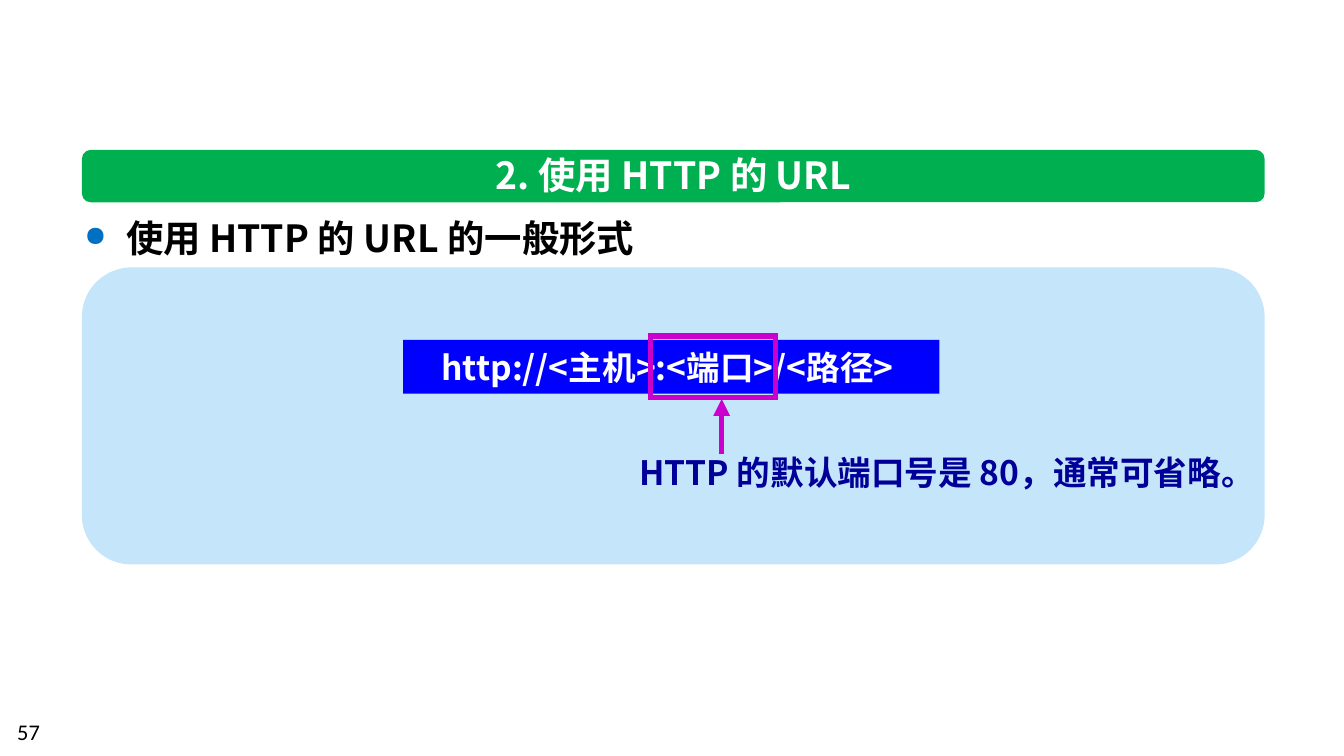
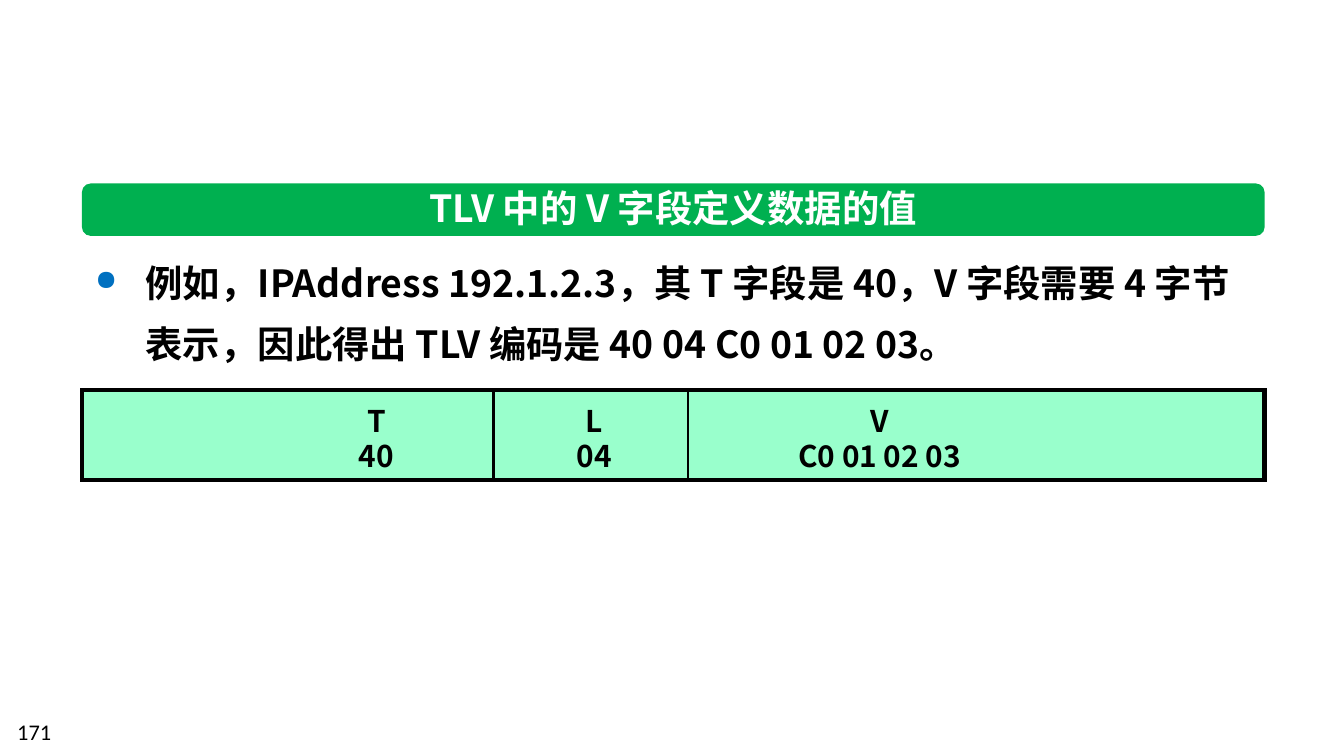
from lxml.etree import SubElement
from pptx import Presentation
from pptx.dml.color import RGBColor
from pptx.enum.shapes import MSO_CONNECTOR, MSO_SHAPE
from pptx.enum.text import MSO_ANCHOR, MSO_AUTO_SIZE, PP_ALIGN
from pptx.oxml.ns import qn
from pptx.util import Pt

PX = 4572  # 200 px to the inch
COLORS = {
    "white": "FFFFFF", "black": "000000", "band": "00B050", "bullet": "0070C0",
    "panel": "C5E5FB", "url": "0000FF", "port": "CC00CC", "note": "000099",
    "field": "99FFCC",
}
FONT = "Noto Sans CJK SC"
LEFT, WIDTH = 122, 1760


def draw(page, kind, at, fill=None, line=None, weight=1, adjust=None):
    """Add a text box, preset shape or straight line; a line takes its two ends in at."""
    place = [value * PX for value in at]
    if kind == "text":
        return page.shapes.add_textbox(*place)
    if kind == "line":
        item = page.shapes.add_connector(MSO_CONNECTOR.STRAIGHT, *place)
        SubElement(item._element.spPr, qn("a:effectLst"))
    else:
        item = page.shapes.add_shape(kind, *place)
        item.shadow.inherit = False
        if adjust is not None:
            item.adjustments[0] = adjust
        if fill:
            item.fill.solid()
            item.fill.fore_color.rgb = RGBColor.from_string(COLORS[fill])
        else:
            item.fill.background()
    if line:
        item.line.color.rgb = RGBColor.from_string(COLORS[line])
        item.line.width = Pt(weight)
        SubElement(item.line._get_or_add_ln(), qn("a:miter"), lim="800000")
    else:
        item.line.fill.background()
    return item


def write(box, text, size=20, color="black", bold=True, font=FONT, align=PP_ALIGN.LEFT,
          anchor=MSO_ANCHOR.TOP, wrap=False, grow=True, indent=0, spacing=None):
    """Fill a box with one paragraph per line of text; an indent brings a bullet."""
    frame = box.text_frame
    frame.word_wrap = wrap
    frame.auto_size = MSO_AUTO_SIZE.SHAPE_TO_FIT_TEXT if grow else MSO_AUTO_SIZE.NONE
    frame.vertical_anchor = anchor
    for number, words in enumerate(text.split("\n")):
        para = frame.add_paragraph() if number else frame.paragraphs[0]
        para.alignment = align
        if spacing:
            para.line_spacing = Pt(spacing)
        if indent:
            properties = para._p.get_or_add_pPr()
            properties.set("marL", str(indent * PX))
            properties.set("indent", str(-indent * PX))
            bullet_color = SubElement(properties, qn("a:buClr"))
            SubElement(bullet_color, qn("a:srgbClr"), val=COLORS["bullet"])
            SubElement(properties, qn("a:buSzPct"), val="75000")
            SubElement(properties, qn("a:buChar"), char="●")
        span = para.add_run()
        span.text = words
        span.font.size = Pt(size)
        span.font.bold = bold
        span.font.name = font
        span.font.color.rgb = RGBColor.from_string(COLORS[color])
        SubElement(span._r.get_or_add_rPr(), qn("a:ea"), typeface=font)


deck = Presentation()
deck.slide_width, deck.slide_height = 2000 * PX, 1125 * PX
url_page, tlv_page = [deck.slides.add_slide(deck.slide_layouts[6]) for _ in range(2)]

# Panel behind the URL
draw(url_page, MSO_SHAPE.ROUNDED_RECTANGLE, (LEFT, 398, WIDTH, 442), fill="panel")

# Title bands and page numbers
for page, title, band_top, number in (
    (url_page, "2. 使用 HTTP 的 URL", 223, "57"),
    (tlv_page, "TLV 中的 V 字段定义数据的值", 273, "171"),
):
    draw(page, MSO_SHAPE.ROUNDED_RECTANGLE, (LEFT, band_top, WIDTH, 78),
         fill="band", adjust=0.167)
    write(draw(page, "text", (LEFT, band_top - 7, WIDTH, 88)), title,
          color="white", align=PP_ALIGN.CENTER, wrap=True)
    write(draw(page, "text", (6, 1059, 466, 60)), number, size=12, bold=False,
          font="Calibri", wrap=True, grow=False)

# General form of the URL, with the port marked
write(draw(url_page, "text", (106, 302, 1812, 90)), "使用 HTTP 的 URL 的一般形式",
      wrap=True, indent=62, spacing=27)
url_bar = draw(url_page, MSO_SHAPE.RECTANGLE, (600, 506, 798, 80), fill="url")
write(url_bar, "http://<主机>:<端口>/<路径> ", size=18, color="white", align=PP_ALIGN.CENTER)
draw(url_page, MSO_SHAPE.RECTANGLE, (968, 500, 186, 92), line="port", weight=3)
arrow = draw(url_page, "line", (1074, 676, 1074, 594), line="port", weight=3)
SubElement(arrow.line._get_or_add_ln(), qn("a:tailEnd"), type="triangle")
write(draw(url_page, "text", (932, 663, 978, 80)), "HTTP 的默认端口号是 80，通常可省略。",
      size=18, color="note")

# Example of TLV coding
write(draw(tlv_page, "text", (LEFT, 352, WIDTH, 206)),
      "例如，IPAddress 192.1.2.3，其 T 字段是 40，V 字段需要 4 字节表示，"
      "因此得出 TLV 编码是 40 04 C0 01 02 03。",
      wrap=True, indent=75, spacing=33)
field_top, field_height = 580, 134
draw(tlv_page, MSO_SHAPE.RECTANGLE, (LEFT, field_top, WIDTH, field_height),
     fill="field", line="black", weight=2.25)
for divider in (734, 1024):
    draw(tlv_page, "line", (divider, field_top, divider, field_top + field_height),
         line="black", weight=1.5)
for text, left, width in (("T\n40", 512, 96), ("L\n04", 836, 96),
                          ("V\nC0 01 02 03", 1158, 302)):
    write(draw(tlv_page, "text", (left, 588, width, 128)), text, size=16,
          align=PP_ALIGN.CENTER, anchor=MSO_ANCHOR.MIDDLE)

deck.save("out.pptx")
